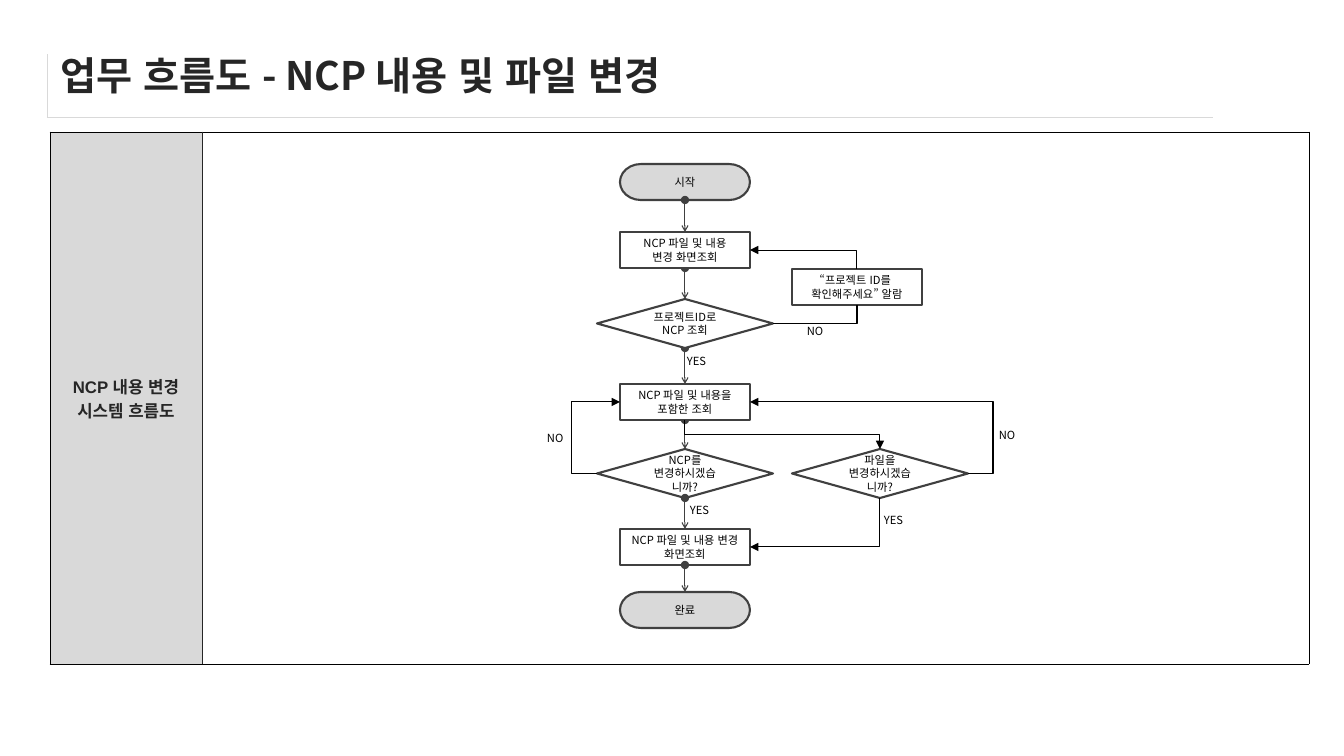
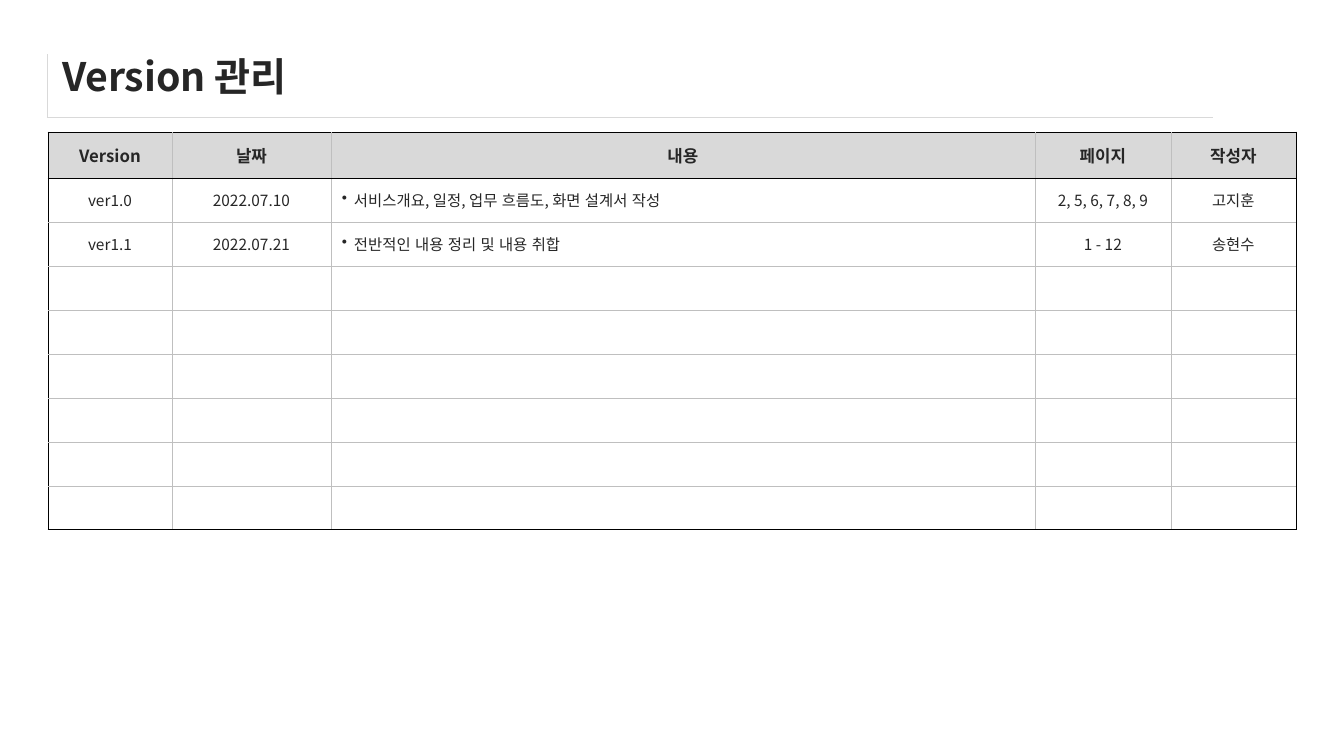
from lxml.etree import SubElement
from pptx import Presentation
from pptx.dml.color import RGBColor
from pptx.enum.shapes import MSO_CONNECTOR, MSO_SHAPE
from pptx.enum.text import MSO_ANCHOR, MSO_AUTO_SIZE, PP_ALIGN
from pptx.oxml import parse_xml
from pptx.oxml.ns import nsdecls, qn
from pptx.util import Pt

SCALE = 914400 / 100.8
FONT, SIDE_FONT = "Noto Sans CJK KR", "Arial"
INK, BLACK, WHITE = "262626", "000000", "FFFFFF"
EDGE, GREY, GRID = "404040", "D9D9D9", "BFBFBF"
TOP, LEFT, BOTTOM, RIGHT = range(4)

FLOW_TITLE = "업무 흐름도 - NCP 내용 및 파일 변경"
SIDE = "NCP 내용 변경\n시스템 흐름도"
MAIN, ALERT, FILE = 685, 857, 880
KINDS = {  # shape, width, height, fill, side inset
    "end": (MSO_SHAPE.FLOWCHART_TERMINATOR, 130, 36, GREY, 10),
    "step": (MSO_SHAPE.FLOWCHART_PROCESS, 130, 36, WHITE, 5),
    "test": (MSO_SHAPE.FLOWCHART_DECISION, 176, 49, WHITE, 10),
}
NODES = {  # kind, centre, top, text
    "start": ("end", MAIN, 164, "시작"),
    "view": ("step", MAIN, 232, "NCP 파일 및 내용\n변경 화면조회"),
    "check": ("test", MAIN, 299, "프로젝트ID로NCP 조회"),
    "alert": ("step", ALERT, 269, "“프로젝트 ID를 \n확인해주세요” 알람"),
    "find": ("step", MAIN, 384, "NCP 파일 및 내용을 포함한 조회"),
    "ask": ("test", MAIN, 449, "NCP를 변경하시겠습니까?"),
    "file": ("test", FILE, 449, "파일을 변경하시겠습니까?"),
    "save": ("step", MAIN, 529, "NCP 파일 및 내용 변경 화면조회"),
    "done": ("end", MAIN, 592, "완료"),
}
STEPS = [  # from, to, behind the boxes
    ("start", "view", False), ("view", "check", True),
    ("check", "find", True), ("find", "ask", True),
    ("ask", "save", False), ("save", "done", False),
]
CORNERS = [  # from, side, to, side, arrow at start
    ("check", RIGHT, "alert", BOTTOM, False),
    ("view", RIGHT, "alert", TOP, True),
    ("save", RIGHT, "file", BOTTOM, True),
]
LOOPS = [("ask", LEFT, "find", 572), ("file", RIGHT, "find", 993)]
LABELS = [
    ("NO", 797, 319), ("YES", 677, 349), ("NO", 537, 426),
    ("NO", 989, 423), ("YES", 680, 498), ("YES", 874, 508),
]

LOG_TITLE = "Version 관리"
LOG_COLS = [124, 159, 704, 136, 125]
LOG_ROWS = [46] + [44] * 8
LOG = [
    ("Version", "날짜", "내용", "페이지", "작성자"),
    ("ver1.0", "2022.07.10", "서비스개요, 일정, 업무 흐름도, 화면 설계서 작성",
     "2, 5, 6, 7, 8, 9", "고지훈"),
    ("ver1.1", "2022.07.21", "전반적인 내용 정리 및 내용 취합", "1 - 12", "송현수"),
]
NOTE_COL = 2


def px(*vals):
    out = [round(v * SCALE) for v in vals]
    return out[0] if len(out) == 1 else out


def rgb(text):
    return RGBColor.from_string(text)


def tongue(frame):
    """Mark the runs as Korean."""
    for para in frame.paragraphs:
        for run in para.runs:
            props = run._r.get_or_add_rPr()
            props.set("lang", "ko-KR")
            props.set("altLang", "en-US")


def write(frame, text, size, color=BLACK, bold=False, face=FONT, align=PP_ALIGN.CENTER):
    frame.text = text
    for para in frame.paragraphs:
        para.alignment = align
        for run in para.runs:
            font = run.font
            font.size, font.bold, font.name = Pt(size), bold, face
            font.color.rgb = rgb(color)
            SubElement(run._r.get_or_add_rPr(), qn("a:ea"), typeface=FONT)
    tongue(frame)


def draw(link, color, head=None, tail=None, size="med"):
    """Set the line, arrowheads and empty effects of a connector."""
    link.line.color.rgb = rgb(color)
    link.line.width = Pt(0.75)
    props = link.element.find(qn("p:spPr"))
    ln = props.find(qn("a:ln"))
    if head:
        SubElement(ln, qn("a:headEnd"), type=head)
    if tail:
        SubElement(ln, qn("a:tailEnd"), type=tail, w=size, len=size)
    SubElement(props, qn("a:effectLst"))


def join(slide, kind, a, side, b, end):
    link = slide.shapes.add_connector(kind, 0, 0, 0, 0)
    link.begin_connect(a, side)
    link.end_connect(b, end)
    return link


def outline(link):
    return link.element.find(qn("p:spPr")).find(qn("a:prstGeom"))


def border(cell, edges):
    """Draw the sides, given as (colour, points) or None for L, R, T, B."""
    props = cell._tc.get_or_add_tcPr()
    for side, edge in zip("LRTB", edges):
        body, size = "<a:noFill/>", ""
        if edge:
            body = f'<a:solidFill><a:srgbClr val="{edge[0]}"/></a:solidFill>'
            size = f'w="{int(Pt(edge[1]))}"'
        props.append(parse_xml(
            f'<a:ln{side} {nsdecls("a")} {size}>{body}</a:ln{side}>'))


def paint(cell, color):
    cell.fill.solid()
    cell.fill.fore_color.rgb = rgb(color)
    cell.vertical_anchor = MSO_ANCHOR.MIDDLE
    cell.margin_left = cell.margin_right = px(11)


def grid(slide, left, top, cols, rows):
    frame = slide.shapes.add_table(len(rows), len(cols),
                                   *px(left, top, sum(cols), sum(rows)))
    table = frame.table
    table.first_row = table.horz_banding = False
    for part, size in zip(table.columns, cols):
        part.width = px(size)
    for part, size in zip(table.rows, rows):
        part.height = px(size)
    return frame


def style(layout):
    """Give the layout its title style."""
    title = layout.placeholders[0]
    title.left, title.top, title.width, title.height = px(50, 41, 1259, 68)
    title.text_frame.vertical_anchor = MSO_ANCHOR.MIDDLE
    title.text_frame.auto_size = MSO_AUTO_SIZE.NONE
    title.element.find(".//" + qn("a:lstStyle")).append(parse_xml(
        f'<a:lvl1pPr {nsdecls("a")} algn="l"><a:defRPr sz="2800" b="1"><a:solidFill>'
        f'<a:srgbClr val="{INK}"/></a:solidFill><a:latin typeface="{FONT}"/>'
        f'<a:ea typeface="{FONT}"/></a:defRPr></a:lvl1pPr>'))


def corner(slide, layout):
    """Frame the title with a one-cell table, kept in the layout."""
    frame = grid(slide, 47, 54, [1166], [63])
    cell, pale = frame.table.cell(0, 0), (GREY, 0.25)
    border(cell, [pale, None, None, pale])
    cell.fill.background()
    frame.element.find(".//" + qn("p:cNvPr")).set("id", "20")
    layout.shapes.element.insert(2, frame.element)


def head(slide, text):
    title = slide.shapes.title
    title.text_frame.text = text
    tongue(title.text_frame)
    return title


def bend(link, middle):
    """Put the middle leg of an elbow at x = middle."""
    span = link.end_x - link.begin_x
    part = round((px(middle) - link.begin_x) / span * 100000)
    geom = outline(link)
    guides = geom.find(qn("a:avLst"))
    if guides is None:
        guides = SubElement(geom, qn("a:avLst"))
    SubElement(guides, qn("a:gd"), name="adj1", fmla=f"val {part}")


def drop(link):
    """Turn an elbow so that it leaves downwards, then runs right."""
    wide, high = link.width, link.height
    mid_x, mid_y = link.left + wide // 2, link.top + high // 2
    link.left, link.top = mid_x - high // 2, mid_y - wide // 2
    link.width, link.height = high, wide
    frame = link.element.find(".//" + qn("a:xfrm"))
    frame.set("rot", "16200000")
    frame.set("flipH", "1")


def flow(slide):
    head(slide, FLOW_TITLE)
    panel = grid(slide, 50, 132, [152, 1107], [532])
    thin, thick = (INK, 0.25), (BLACK, 0.5)
    side, body = panel.table.cell(0, 0), panel.table.cell(0, 1)
    border(side, [thick, thin, thick, thick])
    border(body, [thin, thick, thick, thick])
    paint(side, GREY)
    body.fill.background()
    write(side.text_frame, SIDE, 12, INK, True, SIDE_FONT)

    boxes = {}
    for name, (kind, mid, top, text) in NODES.items():
        form, wide, high, fill, inset = KINDS[kind]
        box = slide.shapes.add_shape(form, *px(mid - wide / 2, top, wide, high))
        box.shadow.inherit = False
        box.fill.solid()
        box.fill.fore_color.rgb = rgb(fill)
        box.line.color.rgb = rgb(EDGE)
        box.line.width = Pt(1.5)
        frame = box.text_frame
        frame.word_wrap = True
        frame.vertical_anchor = MSO_ANCHOR.MIDDLE
        frame.margin_left = frame.margin_right = px(inset)
        write(frame, text, 8)
        boxes[name] = box

    for a, b, behind in STEPS:
        link = join(slide, MSO_CONNECTOR.STRAIGHT, boxes[a], BOTTOM, boxes[b], TOP)
        draw(link, EDGE, "oval", "arrow", "sm")
        if behind:
            panel.element.addnext(link.element)
    for a, out, b, into, arrow in CORNERS:
        link = join(slide, MSO_CONNECTOR.ELBOW, boxes[a], out, boxes[b], into)
        outline(link).set("prst", "bentConnector2")
        draw(link, BLACK, "triangle" if arrow else None)
    for a, out, b, middle in LOOPS:
        link = join(slide, MSO_CONNECTOR.ELBOW, boxes[a], out, boxes[b], out)
        bend(link, middle)
        draw(link, BLACK, tail="triangle")
    link = join(slide, MSO_CONNECTOR.ELBOW, boxes["find"], BOTTOM, boxes["file"], TOP)
    drop(link)
    draw(link, BLACK, tail="triangle")

    for text, left, top in LABELS:
        label = slide.shapes.add_textbox(*px(left, top, 45, 24))
        label.text_frame.word_wrap = True
        write(label.text_frame, text, 8, align=PP_ALIGN.LEFT)


def log(slide):
    title = head(slide, LOG_TITLE)
    title.left, title.top, title.width, title.height = px(52, 44, 1259, 64)
    table = grid(slide, 48, 132, LOG_COLS, LOG_ROWS).table
    thin, thick = (GRID, 0.25), (BLACK, 0.5)
    last_row, last_col = len(LOG_ROWS) - 1, len(LOG_COLS) - 1
    for r in range(len(LOG_ROWS)):
        for c in range(len(LOG_COLS)):
            cell = table.cell(r, c)
            outer = (c == 0, c == last_col, r < 2, r in (0, last_row))
            border(cell, [thick if edge else thin for edge in outer])
            paint(cell, GREY)
            if r:
                cell.fill.background()
            frame = cell.text_frame
            if r >= len(LOG):
                SubElement(frame.paragraphs[0]._p, qn("a:endParaRPr"), sz="1100")
                continue
            note = r > 0 and c == NOTE_COL
            write(frame, LOG[r][c], 11 if r else 12, INK, r == 0,
                  align=PP_ALIGN.LEFT if note else PP_ALIGN.CENTER)
            if note:
                props = frame.paragraphs[0]._p.get_or_add_pPr()
                props.set("marL", str(px(12)))
                props.set("indent", str(px(-12)))
                SubElement(props, qn("a:buChar"), char="•")


def main():
    deck = Presentation()
    deck.slide_width, deck.slide_height = px(1344, 756)
    layout = deck.slide_layouts[5]
    style(layout)
    first, second = (deck.slides.add_slide(layout) for _ in range(2))
    corner(first, layout)
    flow(first)
    log(second)
    deck.save("out.pptx")


if __name__ == "__main__":
    main()
